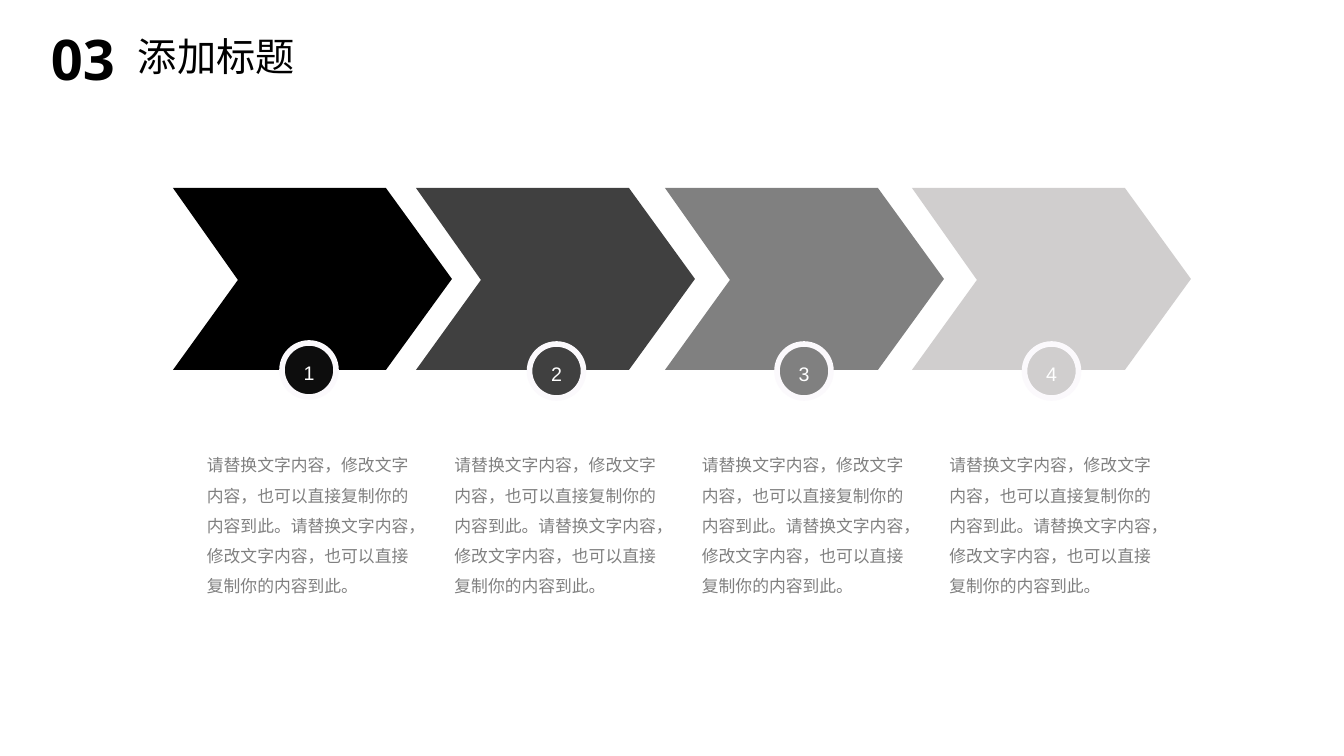
from dataclasses import dataclass

from pptx import Presentation
from pptx.dml.color import RGBColor
from pptx.enum.shapes import MSO_SHAPE
from pptx.enum.text import MSO_ANCHOR, PP_ALIGN
from pptx.util import Pt

OVAL = MSO_SHAPE.OVAL
MIDDLE = MSO_ANCHOR.MIDDLE
CENTER = PP_ALIGN.CENTER
LEFT = PP_ALIGN.LEFT

SECTION_NUMBER = "03"
SECTION_TITLE = "添加标题"
BODY = "请替换文字内容，修改文字内容，也可以直接复制你的内容到此。" * 2
STEPS = [
    {"label": "1", "arrow_left": 173, "badge_top": 343, "arrow": "000000", "badge": "0D0D0D"},
    {"label": "2", "arrow_left": 416, "badge_top": 344, "arrow": "404040", "badge": "404040"},
    {"label": "3", "arrow_left": 665, "badge_top": 344, "arrow": "808080", "badge": "808080"},
    {"label": "4", "arrow_left": 912, "badge_top": 344, "arrow": "D0CECE", "badge": "D0CECE"},
]


@dataclass(frozen=True)
class Theme:
    title_color: str = "000000"
    body_color: str = "808080"
    label_color: str = "FFFFFF"
    ring_color: str = "FBF9FC"
    ring_width: int = 4
    number_font: str = "Open Sans"
    title_font: str = "TeX Gyre Adventor"
    body_font: str = "Arial"
    number_size: int = 40
    title_size: int = 28
    label_size: int = 14
    body_size: int = 12


THEME = Theme()
EMU_PER_PX = 914400 / 100.8
SLIDE_WIDTH, SLIDE_HEIGHT = 1344, 756
ARROW_TOP = 188
ARROW_OUTLINE = [(65, 92), (0, 182), (213, 182), (279, 91), (213, 0)]
COLUMN_LEFT, COLUMN_STEP = 207, 247.5
BODY_TOP, BODY_WIDTH, BODY_HEIGHT = 445, 205, 190
BADGE_OFFSET, BADGE_SIZE = 75, 54


def px(length):
    return round(length * EMU_PER_PX)


def paint(shape, color):
    shape.shadow.inherit = False
    shape.fill.solid()
    shape.fill.fore_color.rgb = RGBColor.from_string(color)


def write(shape, text, font, size, color, spacing, before=0, bold=False, align=LEFT):
    paragraph = shape.text_frame.paragraphs[0]
    paragraph.text = text
    paragraph.alignment = align
    paragraph.line_spacing = spacing
    paragraph.space_before = Pt(before)
    paragraph.font.name = font
    paragraph.font.size = Pt(size)
    paragraph.font.bold = bold
    paragraph.font.color.rgb = RGBColor.from_string(color)


def clear_margins(frame):
    frame.margin_left = frame.margin_right = frame.margin_top = frame.margin_bottom = 0


def add_text_box(slide, left, top, width, height):
    box = slide.shapes.add_textbox(px(left), px(top), px(width), px(height))
    box.text_frame.word_wrap = True
    return box


def add_arrow(slide, step):
    left = step["arrow_left"]
    builder = slide.shapes.build_freeform(left, ARROW_TOP, EMU_PER_PX)
    builder.add_line_segments([(left + x, ARROW_TOP + y) for x, y in ARROW_OUTLINE])
    arrow = builder.convert_to_shape()
    paint(arrow, step["arrow"])
    arrow.line.fill.background()


def add_badge(slide, step, left):
    badge = slide.shapes.add_shape(
        OVAL, px(left), px(step["badge_top"]), px(BADGE_SIZE), px(BADGE_SIZE))
    paint(badge, step["badge"])
    badge.line.color.rgb = RGBColor.from_string(THEME.ring_color)
    badge.line.width = Pt(THEME.ring_width)
    clear_margins(badge.text_frame)
    badge.text_frame.vertical_anchor = MIDDLE
    write(badge, step["label"], THEME.body_font, THEME.label_size,
          THEME.label_color, 1.2, align=CENTER)


def add_body(slide, left):
    body = add_text_box(slide, left, BODY_TOP, BODY_WIDTH, BODY_HEIGHT)
    clear_margins(body.text_frame)
    write(body, BODY, THEME.body_font, THEME.body_size, THEME.body_color, 1.5, before=7.5)


def add_heading(slide):
    number = add_text_box(slide, 41, 27, 89, 65)
    write(number, SECTION_NUMBER, THEME.number_font, THEME.number_size,
          THEME.title_color, 0.9, before=10, bold=True)
    title = add_text_box(slide, 128, 33, 206, 50)
    write(title, SECTION_TITLE, THEME.title_font, THEME.title_size,
          THEME.title_color, 0.9, before=10)


def main():
    presentation = Presentation()
    presentation.slide_width = px(SLIDE_WIDTH)
    presentation.slide_height = px(SLIDE_HEIGHT)
    slide = presentation.slides.add_slide(presentation.slide_layouts[6])
    for step in STEPS:
        add_arrow(slide, step)
    for index, step in enumerate(STEPS):
        left = COLUMN_LEFT + index * COLUMN_STEP
        add_badge(slide, step, left + BADGE_OFFSET)
        add_body(slide, left)
    add_heading(slide)
    presentation.save("out.pptx")


if __name__ == "__main__":
    main()
